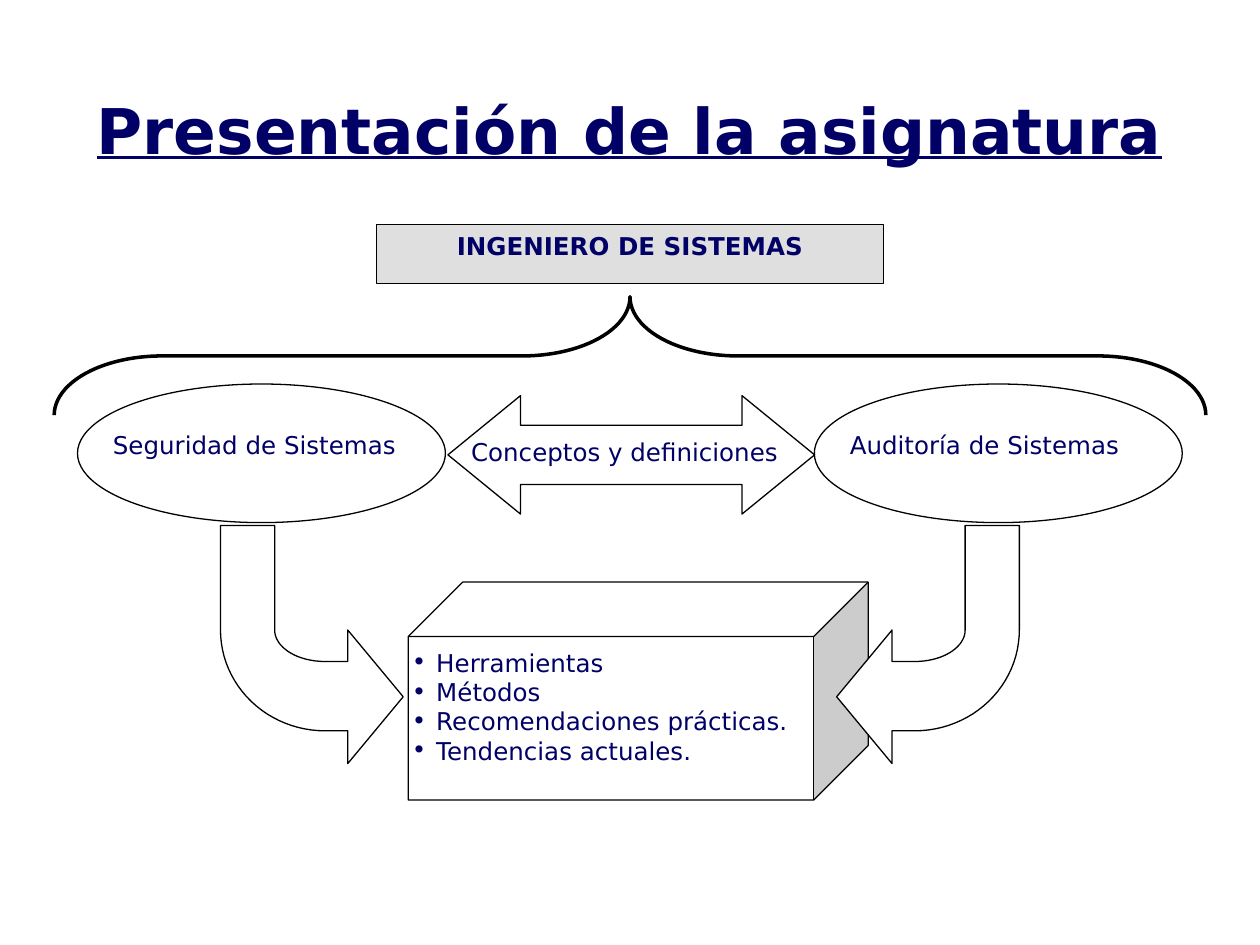
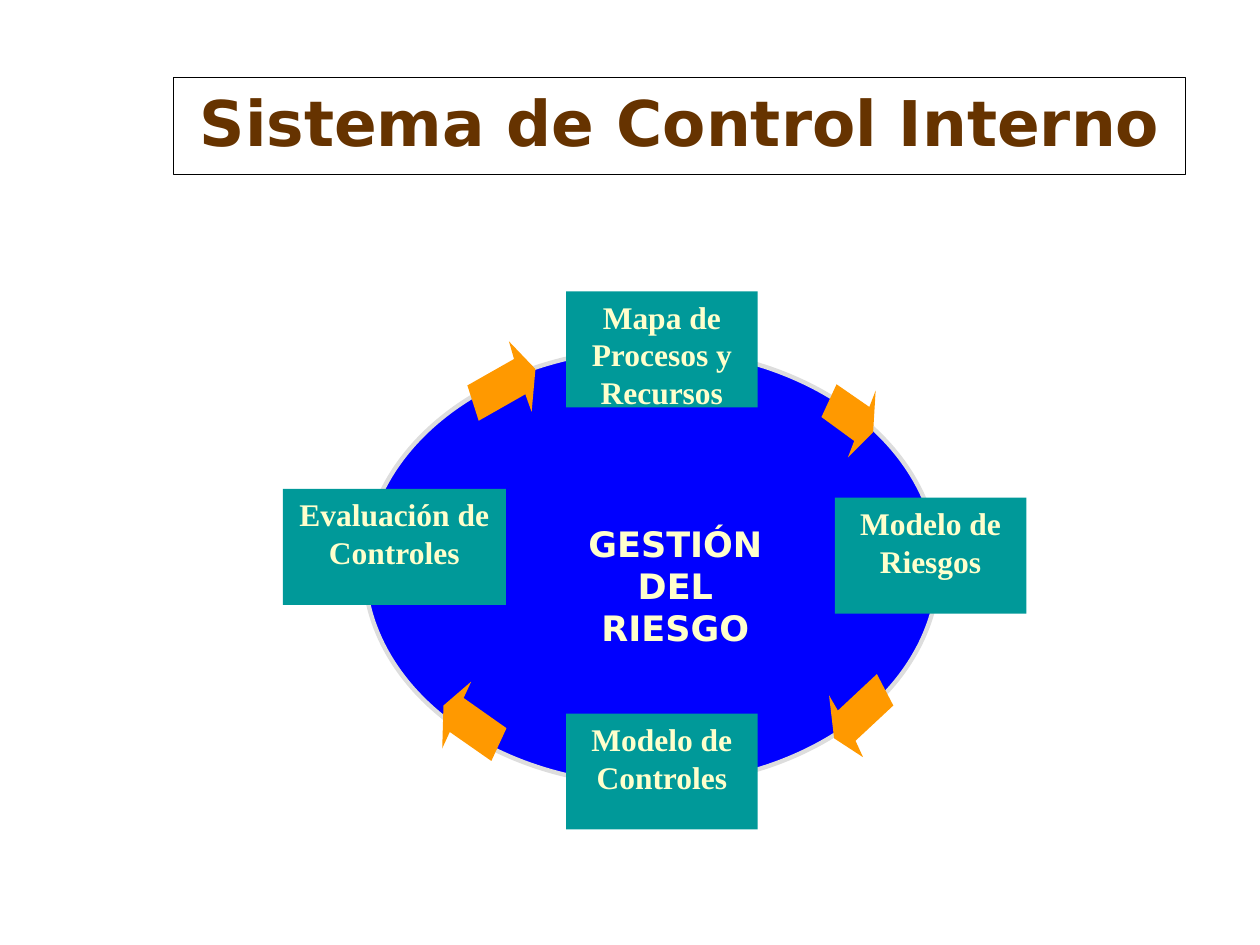
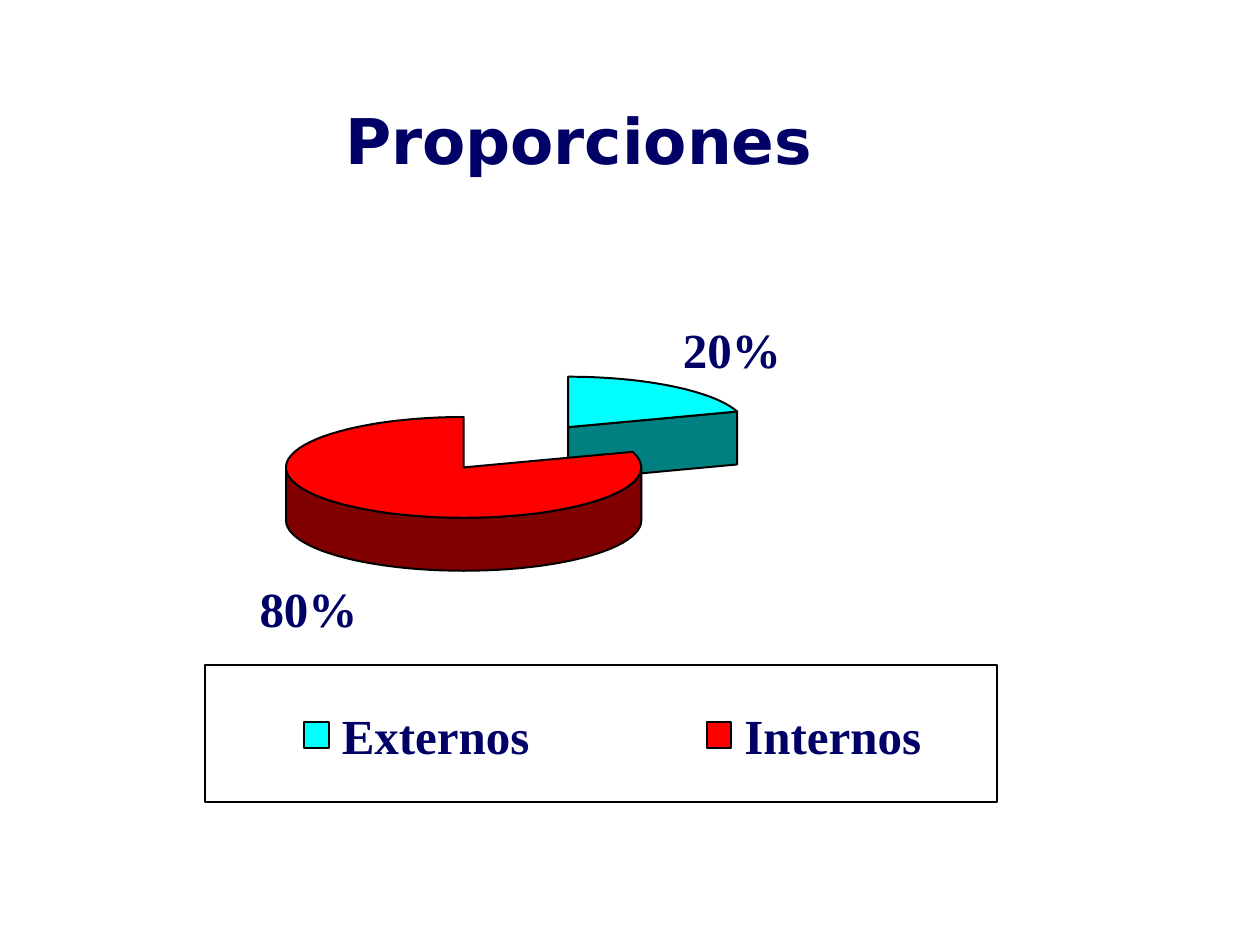
import math
from dataclasses import dataclass

import pptx
import pptx.dml.color
import pptx.enum.shapes
import pptx.enum.text
import pptx.util
from lxml import etree
from pptx.oxml.ns import qn

SHAPE = pptx.enum.shapes.MSO_SHAPE
ALIGN = pptx.enum.text.PP_ALIGN
ANCHOR = pptx.enum.text.MSO_ANCHOR

# The slide is a grid of 100 columns by 75 rows of square cells.
COLUMNS, ROWS = 100, 75
CELL = pptx.util.Inches(0.1)


@dataclass(frozen=True)
class Theme:
    sans: str = "DejaVu Sans"
    serif: str = "Times New Roman"
    navy: str = "000066"
    brown: str = "663300"
    cream: str = "FFFFCC"
    white: str = "FFFFFF"
    black: str = "000000"
    silver: str = "C0C0C0"
    rim: str = "DDDDDD"
    blue: str = "0000FF"
    teal: str = "009999"
    orange: str = "FF9900"
    cyan: str = "00FFFF"
    dark_cyan: str = "008080"
    red: str = "FF0000"
    dark_red: str = "800000"
    title: int = 36
    value: int = 28
    core: int = 20
    step: int = 18
    body: int = 14
    thin: float = 0.75
    chart_line: float = 1.13
    brace_line: float = 2
    rim_line: float = 2.5


THEME = Theme()


@dataclass(frozen=True)
class Type:
    """How a piece of text is set."""
    size: int = THEME.body
    color: str = THEME.navy
    font: str = THEME.sans
    bold: bool = False
    underline: bool = False
    align: ALIGN = ALIGN.LEFT


TITLE = Type(THEME.title, bold=True)
STEP = Type(THEME.step, THEME.cream, THEME.serif, bold=True, align=ALIGN.CENTER)
VALUE = Type(THEME.value, font=THEME.serif, bold=True)


def cells(*lengths):
    return [round(length * CELL) for length in lengths]


def rgb(color):
    return pptx.dml.color.RGBColor.from_string(color)


def paint(shape, fill=None, line=None, width=THEME.thin):
    shape.shadow.inherit = False
    if fill:
        shape.fill.solid()
        shape.fill.fore_color.rgb = rgb(fill)
    else:
        shape.fill.background()
    if line:
        shape.line.color.rgb = rgb(line)
        shape.line.width = pptx.util.Pt(width)
    else:
        shape.line.fill.background()
    return shape


def add_figure(slide, kind, area, fill=THEME.white, line=THEME.black, width=THEME.thin):
    return paint(slide.shapes.add_shape(kind, *cells(*area)), fill, line, width)


def add_outline(slide, points, fill, line=None, width=THEME.thin):
    start, *others = [cells(*point) for point in points]
    builder = slide.shapes.build_freeform(*start)
    builder.add_line_segments(others, close=True)
    return paint(builder.convert_to_shape(), fill, line, width)


def add_bullet(paragraph, style):
    properties = paragraph._p.get_or_add_pPr()
    indent = round(1.94 * CELL)
    properties.set("marL", str(indent))
    properties.set("indent", str(-indent))
    tint = etree.SubElement(properties, qn("a:buClr"))
    etree.SubElement(tint, qn("a:srgbClr")).set("val", style.color)
    etree.SubElement(properties, qn("a:buFont")).set("typeface", style.font)
    etree.SubElement(properties, qn("a:buChar")).set("char", "•")


def write(shape, lines, style, margins=(1, 0.5), top=None, wrap=True, bulleted=False):
    frame = shape.text_frame
    frame.word_wrap = wrap
    frame.vertical_anchor = ANCHOR.TOP
    side, edge = cells(*margins)
    frame.margin_left = frame.margin_right = side
    frame.margin_top = frame.margin_bottom = edge
    if top is not None:
        frame.margin_top = cells(top)[0]
    frame.text = "\n".join(lines)
    for paragraph in frame.paragraphs:
        if bulleted:
            add_bullet(paragraph, style)
        paragraph.alignment = style.align
        font = paragraph.font
        font.name = style.font
        font.size = pptx.util.Pt(style.size)
        font.bold = style.bold
        font.underline = style.underline
        font.color.rgb = rgb(style.color)


def add_label(slide, area, lines, style, **options):
    write(slide.shapes.add_textbox(*cells(*area)), lines, style, **options)


def add_title(slide, area, text, style=TITLE, line=None):
    write(add_figure(slide, SHAPE.RECTANGLE, area, line=line), [text], style)


def arc(center, radii, start, end, steps=24):
    """Points of an elliptical arc; degrees run clockwise from twelve o'clock."""
    angles = [math.radians(start + (end - start) * i / steps) for i in range(steps + 1)]
    return [(center[0] + radii[0] * math.sin(a), center[1] - radii[1] * math.cos(a))
            for a in angles]


def add_elbow_arrow(slide, tip, side):
    """Arrow that drops and turns to its tip; side is 1 if it comes from the right."""
    bend = (6.2, 50)
    profile = [(0, 55.3), (4.4, 60.6), (4.4, 58),
               *arc(bend, (8.3, 8), 180, 90), (14.5, 41.7), (10.2, 41.7),
               *arc(bend, (4, 2.5), 90, 180), (4.4, 52.5), (4.4, 50)]
    add_outline(slide, [(tip + side * x, y) for x, y in profile],
                THEME.white, THEME.black)


def build_course(slide):
    add_title(slide, (6.7, 6.8, 86.6, 8.8), "Presentación de la asignatura",
              Type(THEME.title, bold=True, underline=True))

    engineer = add_figure(slide, SHAPE.RECTANGLE, (29.9, 17.83, 40.2, 4.7), THEME.silver)
    shade = engineer.fill._xPr.find(qn("a:solidFill"))[0]
    etree.SubElement(shade, qn("a:alpha")).set("val", "50000")
    write(engineer, ["INGENIERO DE SISTEMAS"], Type(bold=True, align=ALIGN.CENTER))

    for left, subject in ((6.15, "Seguridad de Sistemas"), (64.63, "Auditoría de Sistemas")):
        add_figure(slide, SHAPE.OVAL, (left, 30.48, 29.2, 11))
        add_label(slide, (left + 1.83, 33.65, 25.6, 4.7), [subject], Type())

    concepts = add_figure(slide, SHAPE.LEFT_RIGHT_ARROW, (35.55, 31.4, 29.1, 9.4))
    concepts.adjustments[0], concepts.adjustments[1] = 0.5, 0.613
    add_label(slide, (36.4, 31.8, 29.2, 7), ["Conceptos y definiciones"],
              Type(align=ALIGN.JUSTIFY), top=2.85)

    brace = add_figure(slide, SHAPE.LEFT_BRACE, (45.3, -17.45, 9.4, 91.4),
                       fill=None, width=THEME.brace_line)
    brace.rotation = 90
    brace.adjustments[0] = 0.91

    add_figure(slide, SHAPE.CUBE, (32.4, 46.2, 36.5, 17.3))
    add_label(slide, (31.7, 50.9, 34.7, 12.6),
              ["Herramientas", "Métodos", "Recomendaciones prácticas.",
               "Tendencias actuales."], Type(), bulleted=True)

    add_elbow_arrow(slide, tip=66.4, side=1)
    add_elbow_arrow(slide, tip=32, side=-1)


def build_control(slide):
    add_title(slide, (13.8, 6.15, 80.3, 7.7), "Sistema de Control Interno",
              Type(THEME.title, THEME.brown, bold=True, align=ALIGN.CENTER),
              line=THEME.black)
    add_figure(slide, SHAPE.OVAL, (28.9, 27.7, 45.6, 34.6),
               THEME.blue, THEME.rim, THEME.rim_line)
    add_label(slide, (44.5, 41.5, 18.2, 6.7), ["GESTIÓN DEL", "RIESGO"],
              Type(THEME.core, THEME.cream, bold=True, align=ALIGN.CENTER),
              margins=(0, 0))

    cycle_arrows = (
        [(69.5, 31), (69, 32.3), (66.4, 30.5), (65.2, 33.1),
         (67.8, 35), (67.3, 36.3), (69.3, 34.3)],
        [(37.4, 54.1), (36.8, 55.4), (40.2, 57.8), (39, 60.4),
         (35.7, 58.1), (35.1, 59.4), (35.2, 56)],
        [(65.8, 55.2), (66.5, 56.4), (69.6, 53.5), (70.9, 56),
         (67.9, 58.8), (68.5, 60.1), (66.2, 58.6)],
        [(40.4, 27.1), (40.8, 28.5), (37.1, 30.6), (38, 33.4),
         (41.7, 31.3), (42.2, 32.7), (42.5, 29.3)],
    )
    for points in cycle_arrows:
        add_outline(slide, points, THEME.orange)

    steps = (
        (44.93, 23.13, 15.2, ["Mapa de Procesos y", "Recursos"]),
        (66.25, 39.5, 15.2, ["Modelo de Riesgos"]),
        (44.93, 56.63, 15.2, ["Modelo de Controles"]),
        (22.45, 38.8, 17.7, ["Evaluación de Controles"]),
    )
    for left, top, width, lines in steps:
        box = add_figure(slide, SHAPE.RECTANGLE, (left, top, width, 9.2),
                         THEME.teal, line=None)
        write(box, lines, STEP)


def build_proportions(slide):
    add_title(slide, (26.4, 7.6, 40.9, 7.5), "Proporciones")

    ink = dict(line=THEME.black, width=THEME.chart_line)
    radii, depth = (14.1, 4), 4.2
    external_share = 0.2
    cut = 360 * external_share

    def lowered(points):
        return [(x, y + depth) for x, y in points]

    external_center, internal_center = (45.1, 33.9), (36.8, 37.1)
    external_arc = arc(external_center, radii, 0, cut)
    cut_edge = [external_center, external_arc[-1]]
    add_outline(slide, cut_edge + lowered(cut_edge[::-1]), THEME.dark_cyan, **ink)
    add_outline(slide, external_arc + [external_center], THEME.cyan, **ink)

    front_edge = arc(internal_center, radii, 90, 270, steps=48)
    add_outline(slide, front_edge + lowered(front_edge[::-1]), THEME.dark_red, **ink)
    add_outline(slide, arc(internal_center, radii, cut, 360, steps=72) + [internal_center],
                THEME.red, **ink)

    def add_value(left, top, width, text):
        add_label(slide, (left, top, width, 4.7), [text], VALUE,
                  margins=(0, 0), wrap=False)

    add_value(54.2, 25.35, 7.8, "20%")
    add_value(20.6, 45.9, 7.8, "80%")

    add_figure(slide, SHAPE.RECTANGLE, (16.3, 52.75, 62.8, 10.9), fill=None, **ink)
    for left, color, width, origin in ((24.15, THEME.cyan, 14.9, "Externos"),
                                       (56.1, THEME.red, 14.2, "Internos")):
        add_figure(slide, SHAPE.RECTANGLE, (left, 57.3, 1.95, 2.1), color, **ink)
        add_value(left + 2.98, 56, width, origin)


def main():
    deck = pptx.Presentation()
    deck.slide_width, deck.slide_height = cells(COLUMNS, ROWS)
    blank = deck.slide_layouts[6]
    for build in (build_course, build_control, build_proportions):
        build(deck.slides.add_slide(blank))
    deck.save("out.pptx")


if __name__ == "__main__":
    main()
